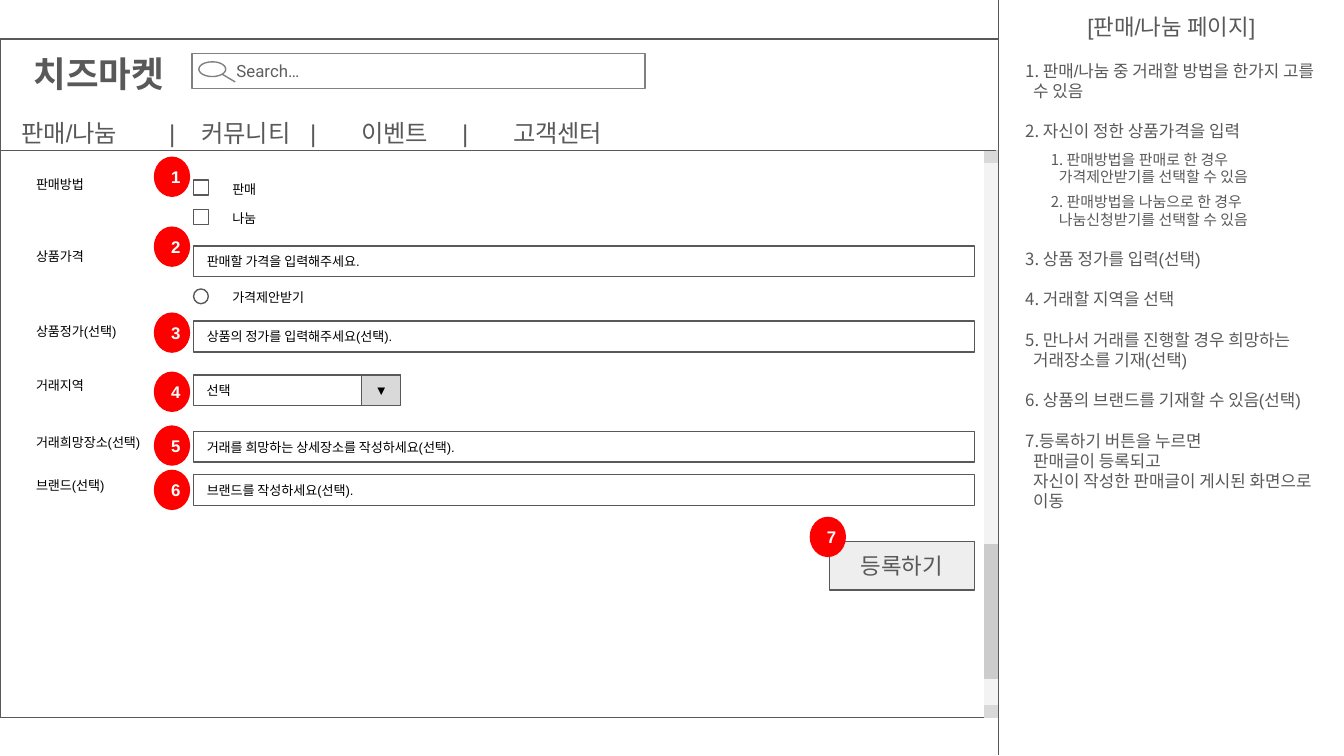
from typing import NamedTuple, Optional

from lxml.etree import SubElement
from pptx import Presentation
from pptx.dml.color import RGBColor
from pptx.enum.shapes import MSO_CONNECTOR, MSO_SHAPE
from pptx.enum.text import MSO_ANCHOR, MSO_AUTO_SIZE, PP_ALIGN
from pptx.oxml.ns import qn
from pptx.util import Inches, Pt

BLACK = RGBColor(0x00, 0x00, 0x00)
WHITE = RGBColor(0xFF, 0xFF, 0xFF)
RED = RGBColor(0xFF, 0x00, 0x00)
INK = RGBColor(0x59, 0x59, 0x59)
SEARCH_INK = RGBColor(0x5F, 0x5F, 0x5F)
SEARCH_LINE = RGBColor(0x80, 0x80, 0x80)
TRACK = RGBColor(0xF3, 0xF3, 0xF3)
BUTTON = RGBColor(0xEE, 0xEE, 0xEE)
ARROW_BOX = RGBColor(0xD9, 0xD9, 0xD9)
THUMB = RGBColor(0xCC, 0xCC, 0xCC)

FIELD_LEFT, FIELD_WIDTH, FIELD_HEIGHT = 1.44, 5.81, 0.23
PANEL_LEFT, PANEL_WIDTH = 7.43, 2.57


class Box(NamedTuple):
    left: float
    top: float
    width: float
    height: float


class Style(NamedTuple):
    size: float
    color: RGBColor
    bold: bool = False
    align: PP_ALIGN = PP_ALIGN.LEFT
    font: str = "Arial"
    anchor: MSO_ANCHOR = MSO_ANCHOR.MIDDLE
    left_inset: float = 0.1
    top_inset: float = 0.1


class Field(NamedTuple):
    label: str
    label_top: float
    prompt: Optional[str] = None
    width: float = FIELD_WIDTH


class Option(NamedTuple):
    text: str
    top: float
    marker: MSO_SHAPE


class Note(NamedTuple):
    text: str
    level: int = 0
    gap: float = 10.8


SMALL = Style(7, BLACK)
LABEL = Style(7, BLACK, anchor=MSO_ANCHOR.TOP, top_inset=0.06)
BADGE = Style(9, WHITE, bold=True, align=PP_ALIGN.CENTER)
HEADING = Style(12, INK, align=PP_ALIGN.CENTER, anchor=MSO_ANCHOR.TOP)
BUTTON_TEXT = Style(12, INK, align=PP_ALIGN.CENTER)
LOGO = Style(19, INK, bold=True, align=PP_ALIGN.CENTER, anchor=MSO_ANCHOR.TOP)
MENU = Style(13, INK, anchor=MSO_ANCHOR.TOP)
NOTE = Style(9, INK, anchor=MSO_ANCHOR.TOP)
SUBNOTE = Style(8, INK, anchor=MSO_ANCHOR.TOP)
SEARCH = Style(9, SEARCH_INK, font="Roboto", left_inset=0.33)

FIELDS = [
    Field("판매방법", 1.25),
    Field("상품가격", 1.79, "판매할 가격을 입력해주세요."),
    Field("상품정가(선택)", 2.35, "상품의 정가를 입력해주세요(선택)."),
    Field("거래지역", 2.75, "선택", 1.54),
    Field("거래희망장소(선택)", 3.17, "거래를 희망하는 상세장소를 작성하세요(선택)."),
    Field("브랜드(선택)", 3.49, "브랜드를 작성하세요(선택)."),
]
OPTIONS = [
    Option("판매", 1.29, MSO_SHAPE.RECTANGLE),
    Option("나눔", 1.51, MSO_SHAPE.RECTANGLE),
    Option("가격제안받기", 2.1, MSO_SHAPE.OVAL),
]
BADGES = [(1.15, 1.17), (1.15, 1.69), (1.15, 2.33), (1.15, 2.77),
          (1.15, 3.17), (1.15, 3.5), (6.03, 3.85)]
SCROLLBAR = [
    (Box(7.33, 1.13, 0.09, 4.21), TRACK),
    (Box(7.33, 5.25, 0.1, 0.09), ARROW_BOX),
    (Box(7.33, 4.05, 0.09, 1), THUMB),
    (Box(7.33, 1.12, 0.1, 0.09), ARROW_BOX),
]
MENU_ITEMS = ["판매/나눔", "커뮤니티", "이벤트", "고객센터"]
MENU_STOPS = [1.1, 1.34, 2.15, 2.53, 3.28, 3.66]
NOTES = [
    Note(" 판매/나눔 중 거래할 방법을 한가지 고를 수 있음", gap=0),
    Note(" 자신이 정한 상품가격을 입력"),
    Note(" 판매방법을 판매로 한 경우\n가격제안받기를 선택할 수 있음", 1, 4.8),
    Note(" 판매방법을 나눔으로 한 경우\n나눔신청받기를 선택할 수 있음", 1, 3.6),
    Note(" 상품 정가를 입력(선택)"),
    Note(" 거래할 지역을 선택"),
    Note(" 만나서 거래를 진행할 경우 희망하는 거래장소를 기재(선택)"),
    Note(" 상품의 브랜드를 기재할 수 있음(선택)"),
    Note("등록하기 버튼을 누르면\n판매글이 등록되고\n자신이 작성한 판매글이 게시된 화면으로 이동"),
]


def place(shape, box: Box) -> None:
    shape.left, shape.top, shape.width, shape.height = map(Inches, box)


def format_para(para, style: Style) -> None:
    para.alignment = style.align
    for span in para.runs:
        span.font.name, span.font.size = style.font, Pt(style.size)
        span.font.bold, span.font.color.rgb = style.bold, style.color
    for line_break in para._p.findall(qn("a:br")):
        SubElement(line_break, qn("a:rPr"), sz=str(int(style.size * 100)))


def write(shape, text: str, style: Style) -> None:
    frame = shape.text_frame
    frame.word_wrap, frame.auto_size = True, MSO_AUTO_SIZE.NONE
    frame.vertical_anchor = style.anchor
    frame.margin_left, frame.margin_top = Inches(style.left_inset), Inches(style.top_inset)
    frame.margin_right = frame.margin_bottom = Inches(0.1)
    frame.text = text
    format_para(frame.paragraphs[0], style)


def add_text(page, box: Box, text: str, style: Style):
    shape = page.shapes.add_textbox(*map(Inches, box))
    write(shape, text, style)
    return shape


def add_outline(page, box: Box, fill: Optional[RGBColor] = WHITE,
                line: RGBColor = INK, kind: MSO_SHAPE = MSO_SHAPE.RECTANGLE):
    shape = page.shapes.add_shape(kind, *map(Inches, box))
    shape.shadow.inherit = False
    if fill is None:
        shape.fill.background()
    else:
        shape.fill.solid()
        shape.fill.fore_color.rgb = fill
    shape.line.color.rgb, shape.line.width = line, Pt(0.75)
    return shape


def add_line(page, x1: float, y1: float, x2: float, y2: float, color: RGBColor = INK) -> None:
    line = page.shapes.add_connector(MSO_CONNECTOR.STRAIGHT, *map(Inches, (x1, y1, x2, y2)))
    line.line.color.rgb, line.line.width = color, Pt(0.75)
    SubElement(line._element.spPr, qn("a:effectLst"))


def add_form(page) -> None:
    for field in FIELDS:
        add_text(page, Box(0.17, field.label_top, 1.54, 0.32), field.label, LABEL)
        if field.prompt:
            box = Box(FIELD_LEFT, field.label_top + 0.04, field.width, FIELD_HEIGHT)
            write(add_outline(page, box), field.prompt, SMALL)
    write(add_outline(page, Box(2.69, 2.79, 0.29, FIELD_HEIGHT), ARROW_BOX), "▼", SMALL)
    for option in OPTIONS:
        add_outline(page, Box(FIELD_LEFT, option.top + 0.05, 0.11, 0.11), kind=option.marker)
        add_text(page, Box(1.63, option.top, 5.62, FIELD_HEIGHT), option.text, SMALL)
    write(add_outline(page, Box(6.17, 4.03, 1.08, 0.36), BUTTON), "등록하기", BUTTON_TEXT)
    for number, (left, top) in enumerate(BADGES, start=1):
        badge = add_outline(page, Box(left, top, 0.26, 0.29), RED, RED, MSO_SHAPE.OVAL)
        write(badge, str(number), BADGE)


def add_header(page) -> None:
    menu = add_text(page, Box(0.06, 0.78, 5.11, 0.3), "\t|\t".join(MENU_ITEMS), MENU)
    stops = SubElement(menu.text_frame.paragraphs[0]._p.get_or_add_pPr(), qn("a:tabLst"))
    for stop in MENU_STOPS:
        SubElement(stops, qn("a:tab"), pos=str(Inches(stop)), algn="l")
    add_text(page, Box(0, 0.29, 1.47, 0.52), "치즈마켓", LOGO)
    write(add_outline(page, Box(1.43, 0.4, 3.37, 0.26), line=SEARCH_LINE), "Search…", SEARCH)
    add_line(page, 1.65, 0.55, 1.75, 0.61, SEARCH_LINE)
    add_outline(page, Box(1.48, 0.46, 0.2, 0.11), line=SEARCH_LINE, kind=MSO_SHAPE.OVAL)


def add_notes_panel(page) -> None:
    place(page.shapes.title, Box(PANEL_LEFT, 0, PANEL_WIDTH, 0.4))
    write(page.shapes.title, "[판매/나눔 페이지]", HEADING)
    panel = add_text(page, Box(PANEL_LEFT, 0.35, PANEL_WIDTH, 5.27), "", NOTE)
    frame = panel.text_frame
    for index, note in enumerate(NOTES):
        para = frame.add_paragraph() if index else frame.paragraphs[0]
        para.text, para.level, para.space_before = note.text, note.level, Pt(note.gap)
        format_para(para, SUBNOTE if note.level else NOTE)
        properties = para._p.get_or_add_pPr()
        properties.set("marL", str(Inches(0.35 if note.level else 0.16)))
        properties.set("indent", str(Inches(-0.06)))
        SubElement(properties, qn("a:buAutoNum"), type="arabicPeriod")


def main() -> None:
    deck = Presentation()
    deck.slide_width = Inches(10)
    deck.slide_height = deck.slide_width * 9 // 16
    page = deck.slides.add_slide(deck.slide_layouts[5])
    add_notes_panel(page)
    add_outline(page, Box(0, 0.29, PANEL_LEFT, 5.05), fill=None)
    for box, color in SCROLLBAR:
        add_outline(page, box, color, color)
    add_line(page, 0, 1.12, 7.41, 1.12)
    add_line(page, PANEL_LEFT, 0, PANEL_LEFT, 5.62)
    add_form(page)
    add_header(page)
    deck.save("out.pptx")


if __name__ == "__main__":
    main()
